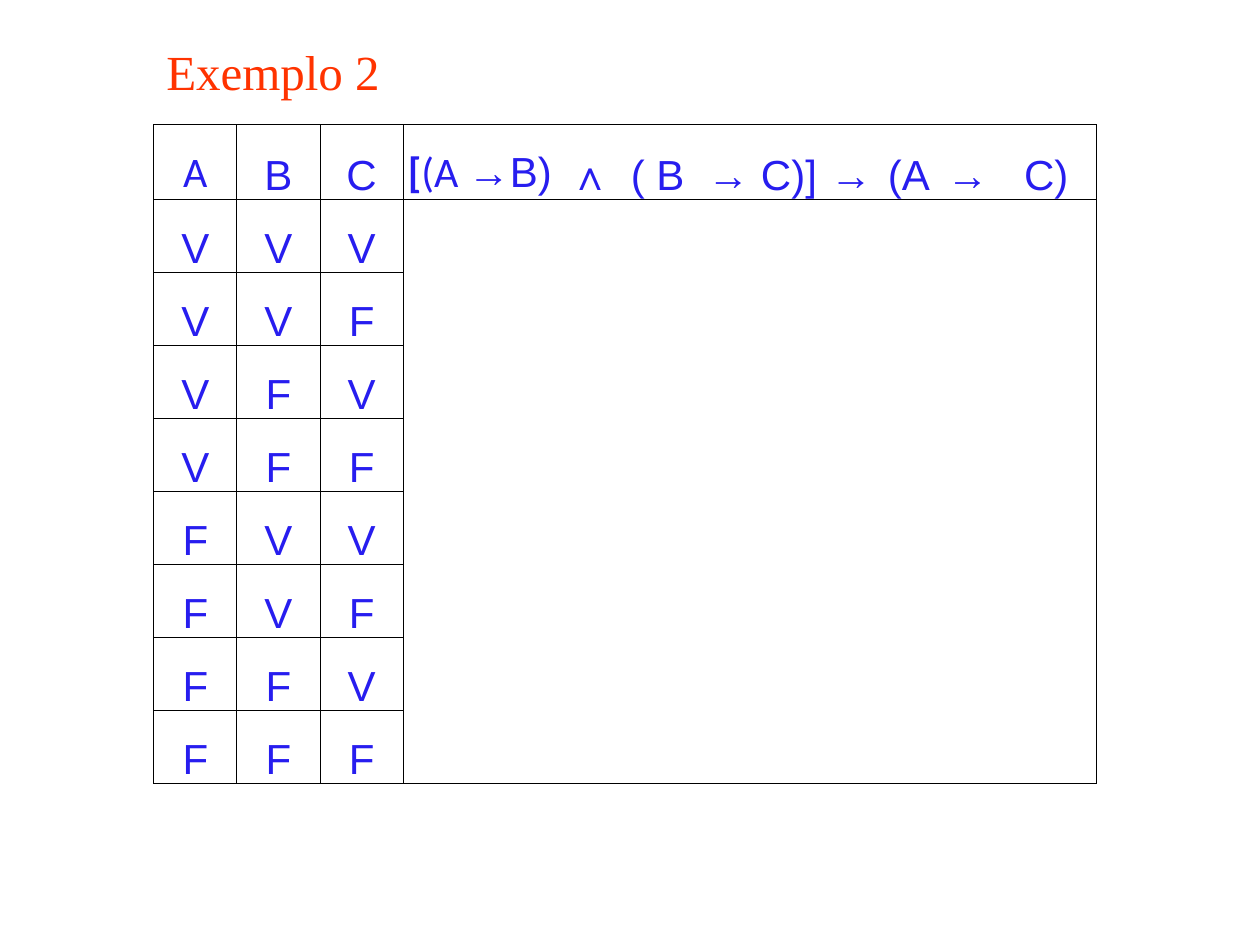
"""Build a slide with an empty truth table for a logical formula."""
from dataclasses import dataclass
from itertools import product

from lxml import etree
from pptx import Presentation
from pptx.dml.color import RGBColor
from pptx.enum.text import MSO_ANCHOR, MSO_AUTO_SIZE, PP_ALIGN
from pptx.oxml.ns import qn
from pptx.util import Inches, Pt

CENTER, LEFT = PP_ALIGN.CENTER, PP_ALIGN.LEFT
BOTTOM, TOP = MSO_ANCHOR.BOTTOM, MSO_ANCHOR.TOP
FIT_SHAPE = MSO_AUTO_SIZE.SHAPE_TO_FIT_TEXT
TITLE_ONLY = 5


@dataclass(frozen=True)
class Theme:
    title_color: RGBColor = RGBColor(0xFF, 0x33, 0x00)
    text_color: RGBColor = RGBColor(0x27, 0x1D, 0xEF)
    border_color: str = "000000"
    border_width: Pt = Pt(0.5)
    title_size: Pt = Pt(28)
    text_size: Pt = Pt(24)
    title_font: str = "Times New Roman"


@dataclass(frozen=True)
class Piece:
    text: str
    font: str = "Arial"
    bold: bool = False


THEME = Theme()
VARIABLES = [[Piece("A", "Calibri")], [Piece("B")], [Piece("C")]]
FORMULA = [
    [Piece("[", "Calibri", True), Piece("(A ", "Calibri"), Piece("→Β) ")],
    *([Piece(text)] for text in ("∧", "( B", "→ C)]", "→", "(A", "→", "C)")),
]
COLUMN_WIDTHS = [0.66] * 3 + [1.31, 0.36, 0.7, 0.96, 0.45, 0.47, 0.46, 0.79]
HEADER_HEIGHT, ROW_HEIGHT = 0.59, 0.58


def style_font(font, name: str, size: Pt, color: RGBColor, bold: bool = False) -> None:
    """Apply typeface, size, colour and weight."""
    font.name, font.size, font.bold = name, size, bold
    font.color.rgb = color


def write_cell(cell, pieces: list[Piece]) -> None:
    """Write centred text at the bottom of a cell."""
    cell.vertical_anchor = BOTTOM
    cell.margin_left = cell.margin_right = cell.margin_top = Inches(0.01)
    cell.margin_bottom = 0
    p = cell.text_frame.paragraphs[0]
    p.alignment = CENTER
    for piece in pieces:
        r = p.add_run()
        r.text = piece.text
        target = p.font if len(pieces) == 1 else r.font
        style_font(target, piece.font, THEME.text_size, THEME.text_color, piece.bold)


def set_borders(cell, sides: str) -> None:
    """Draw the named sides of a cell and hide the others."""
    tc_pr = cell._tc.get_or_add_tcPr()
    for index, side in enumerate("LRTB"):
        ln = etree.Element(qn(f"a:ln{side}"), w=str(THEME.border_width))
        if side in sides:
            fill = etree.SubElement(ln, qn("a:solidFill"))
            etree.SubElement(fill, qn("a:srgbClr"), val=THEME.border_color)
        else:
            etree.SubElement(ln, qn("a:noFill"))
        tc_pr.insert(index, ln)


def border_sides(row: int, col: int, last_row: int, last_col: int) -> str:
    """Return the visible sides: a grid on the left, an open panel on the right."""
    if col < len(VARIABLES):
        return "LRTB"
    visible = {
        "L": col == len(VARIABLES),
        "R": col == last_col,
        "T": row in (0, 1),
        "B": row in (0, last_row),
    }
    return "".join(side for side, shown in visible.items() if shown)


def add_title(s, text: str) -> None:
    """Fill and place the title placeholder."""
    sp = s.shapes.title
    sp.left, sp.top, sp.width, sp.height = map(Inches, (1.22, 0.28, 1.91, 0.57))
    tf = sp.text_frame
    tf.text = text
    tf.word_wrap, tf.auto_size, tf.vertical_anchor = False, FIT_SHAPE, TOP
    p = tf.paragraphs[0]
    p.alignment = LEFT
    style_font(p.font, THEME.title_font, THEME.title_size, THEME.title_color)


def add_truth_table(s) -> None:
    """Add the truth table with every combination of values."""
    values = [[[Piece(v)] for v in row] for row in product("VF", repeat=len(VARIABLES))]
    rows = [VARIABLES + FORMULA, *values]
    heights = [HEADER_HEIGHT] + [ROW_HEIGHT] * len(values)
    table = s.shapes.add_table(
        len(rows), len(COLUMN_WIDTHS), Inches(1.22), Inches(0.99),
        Inches(sum(COLUMN_WIDTHS)), Inches(sum(heights)),
    ).table
    table.first_row = table.horz_banding = False
    for column, width in zip(table.columns, COLUMN_WIDTHS):
        column.width = Inches(width)
    for row, height in zip(table.rows, heights):
        row.height = Inches(height)
    for i, pieces_in_row in enumerate(rows):
        for j in range(len(COLUMN_WIDTHS)):
            cell = table.cell(i, j)
            cell.fill.background()
            set_borders(cell, border_sides(i, j, len(rows) - 1, len(COLUMN_WIDTHS) - 1))
            if j < len(pieces_in_row):
                write_cell(cell, pieces_in_row[j])


def main() -> None:
    """Create and save the presentation."""
    prs = Presentation()
    prs.slide_width, prs.slide_height = Inches(10), Inches(7.5)
    s = prs.slides.add_slide(prs.slide_layouts[TITLE_ONLY])
    add_truth_table(s)
    add_title(s, "Exemplo 2")
    prs.save("out.pptx")


if __name__ == "__main__":
    main()
